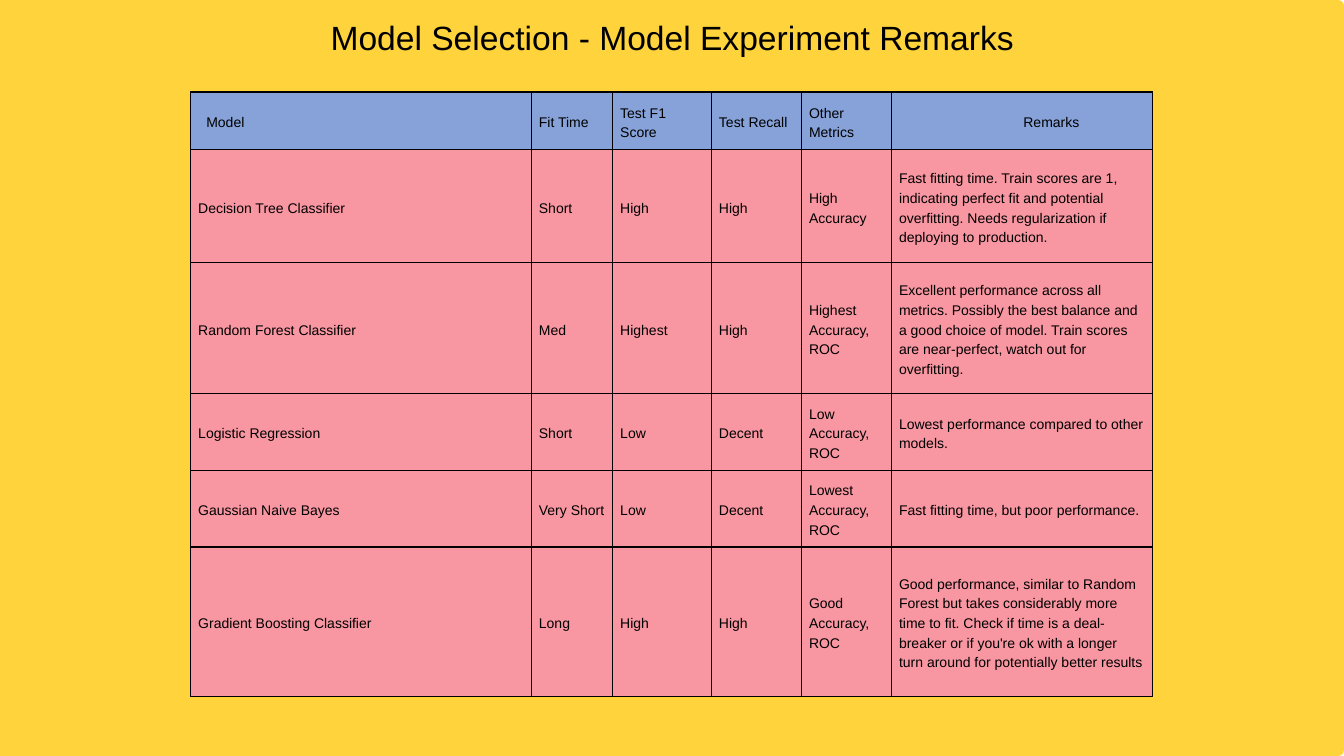
from lxml.etree import SubElement
from pptx import Presentation
from pptx.dml.color import RGBColor
from pptx.enum.shapes import MSO_SHAPE
from pptx.enum.text import MSO_ANCHOR, MSO_AUTO_SIZE, PP_ALIGN
from pptx.oxml.ns import qn
from pptx.util import Inches, Pt

COLORS = {
    "background": "FFF7ED",
    "panel": "FFD33B",
    "header": "86A2D8",
    "body": "F896A2",
    "ink": "000000",
}
COLUMN_WIDTHS = [5.07, 1.21, 1.47, 1.34, 1.34, 3.88]
ROW_HEIGHTS = [0.86, 1.68, 1.95, 1.14, 1.14, 2.22]
HEADER_INDENTS = {"Model": 0.12, "Remarks": 1.85}
ROWS = [
    ["Model", "Fit Time", "Test F1 Score", "Test Recall", "Other Metrics", "Remarks"],
    ["Decision Tree Classifier", "Short", "High", "High", "High Accuracy",
     "Fast fitting time. Train scores are 1, indicating perfect fit and potential "
     "overfitting. Needs regularization if deploying to production."],
    ["Random Forest Classifier", "Med", "Highest", "High", "Highest Accuracy, ROC",
     "Excellent performance across all metrics. Possibly the best balance and a good "
     "choice of model. Train scores are near-perfect, watch out for overfitting."],
    ["Logistic Regression", "Short", "Low", "Decent", "Low Accuracy, ROC",
     "Lowest performance compared to other models."],
    ["Gaussian Naive Bayes", "Very Short", "Low", "Decent", "Lowest Accuracy, ROC",
     "Fast fitting time, but poor performance."],
    ["Gradient Boosting Classifier", "Long", "High", "High", "Good Accuracy, ROC",
     "Good performance, similar to Random Forest but takes considerably more time to "
     "fit. Check if time is a deal-breaker or if you're ok with a longer turn around "
     "for potentially better results"],
]


class SlideBuilder:
    """Holds the style and the current slide, and adds each kind of element."""

    font_name = "Arial"
    cell_margin = 0.11
    border_width = 1.5

    def __init__(self, presentation):
        self.slide = presentation.slides.add_slide(presentation.slide_layouts[5])
        self.paint(self.slide.background.fill, "background")

    def paint(self, fill, color):
        fill.solid()
        fill.fore_color.rgb = RGBColor.from_string(COLORS[color])

    def format_paragraph(self, paragraph, size, line_spacing, alignment=PP_ALIGN.LEFT):
        paragraph.alignment = alignment
        paragraph.line_spacing = Pt(line_spacing)
        paragraph.font.name = self.font_name
        paragraph.font.size = Pt(size)
        paragraph.font.color.rgb = RGBColor.from_string(COLORS["ink"])

    def add_panel(self, left, top, width, height, radius):
        shape = self.slide.shapes.add_shape(
            MSO_SHAPE.ROUNDED_RECTANGLE,
            Inches(left), Inches(top), Inches(width), Inches(height))
        shape.adjustments[0] = radius / min(width, height)
        shape.shadow.inherit = False
        self.paint(shape.fill, "panel")
        shape.line.fill.background()
        self.slide.shapes.element.insert(2, shape.element)

    def set_title(self, text, left, top, width, height):
        title = self.slide.shapes.title
        title.left, title.top = Inches(left), Inches(top)
        title.width, title.height = Inches(width), Inches(height)
        frame = title.text_frame
        frame.text = text
        frame.word_wrap = True
        frame.auto_size = MSO_AUTO_SIZE.NONE
        frame.vertical_anchor = MSO_ANCHOR.TOP
        frame.margin_left = frame.margin_right = 0
        frame.margin_top = frame.margin_bottom = 0
        self.format_paragraph(frame.paragraphs[0], 36, 50.4, PP_ALIGN.CENTER)

    def add_borders(self, cell):
        properties = cell._tc.get_or_add_tcPr()
        for side in ("a:lnL", "a:lnR", "a:lnT", "a:lnB"):
            line = SubElement(properties, qn(side), w=str(Pt(self.border_width)))
            fill = SubElement(line, qn("a:solidFill"))
            SubElement(fill, qn("a:srgbClr"), val=COLORS["ink"])

    def format_cell(self, cell, text, color, indent):
        cell.text = text
        cell.vertical_anchor = MSO_ANCHOR.MIDDLE
        cell.margin_left = Inches(self.cell_margin + indent)
        cell.margin_right = Inches(self.cell_margin)
        cell.margin_top = cell.margin_bottom = Inches(self.cell_margin)
        self.add_borders(cell)
        self.paint(cell.fill, color)
        self.format_paragraph(cell.text_frame.paragraphs[0], 15, 21)

    def add_table(self, left, top, rows, column_widths, row_heights):
        table = self.slide.shapes.add_table(
            len(rows), len(column_widths), Inches(left), Inches(top),
            Inches(sum(column_widths)), Inches(sum(row_heights))).table
        for column, width in zip(table.columns, column_widths):
            column.width = Inches(width)
        for row, height in zip(table.rows, row_heights):
            row.height = Inches(height)
        for row_index, texts in enumerate(rows):
            color = "body" if row_index else "header"
            for column_index, text in enumerate(texts):
                indent = 0 if row_index else HEADER_INDENTS.get(text, 0)
                self.format_cell(table.cell(row_index, column_index), text, color, indent)


def main():
    presentation = Presentation()
    presentation.slide_width = Inches(20)
    presentation.slide_height = Inches(11.25)
    builder = SlideBuilder(presentation)
    builder.add_panel(-0.2, 0, 20.2, 11.25, 0.09)
    builder.add_table(2.84, 1.37, ROWS, COLUMN_WIDTHS, ROW_HEIGHTS)
    builder.set_title("Model Selection - Model Experiment Remarks", 3.65, 0.15, 12.71, 0.67)
    presentation.save("out.pptx")


if __name__ == "__main__":
    main()
